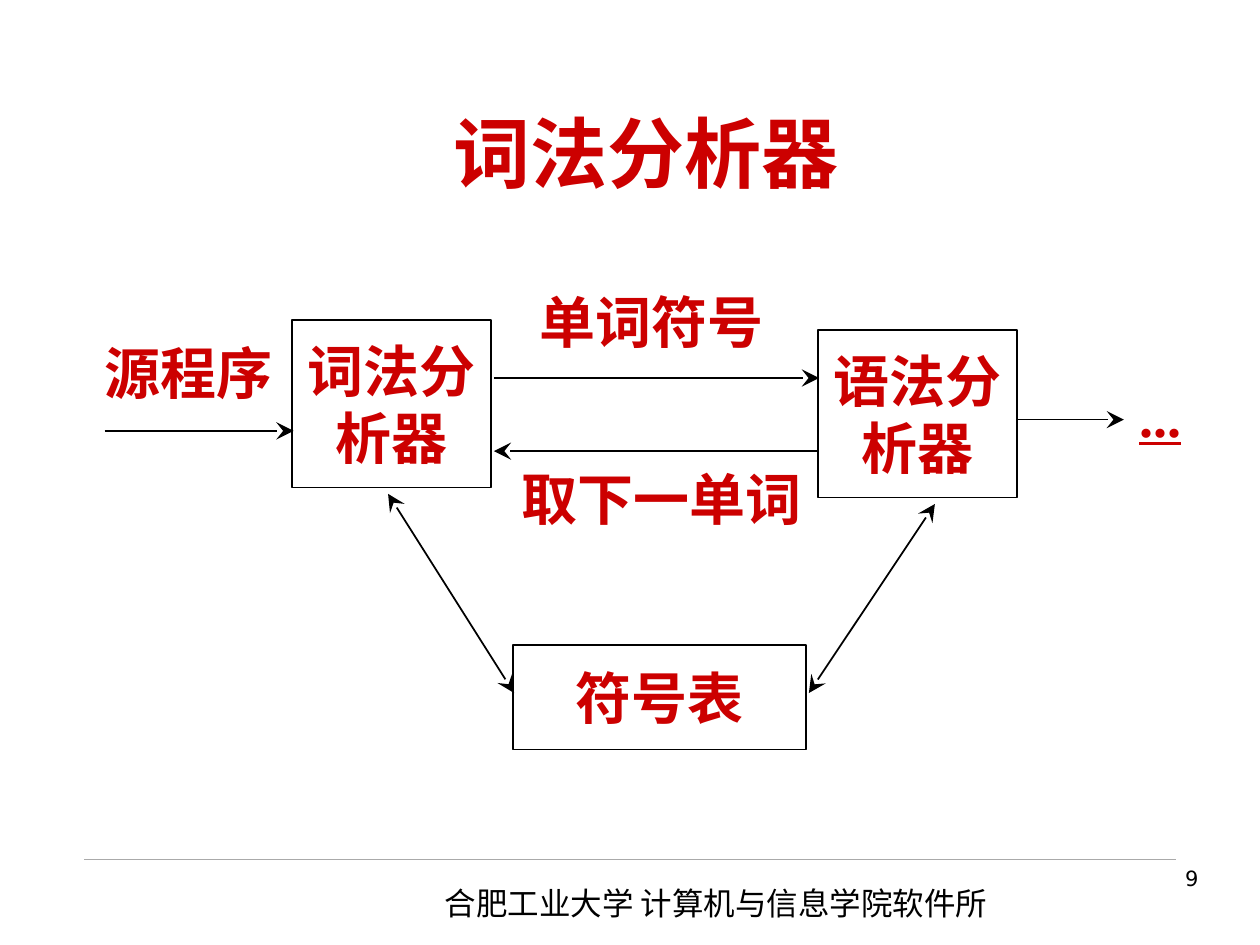
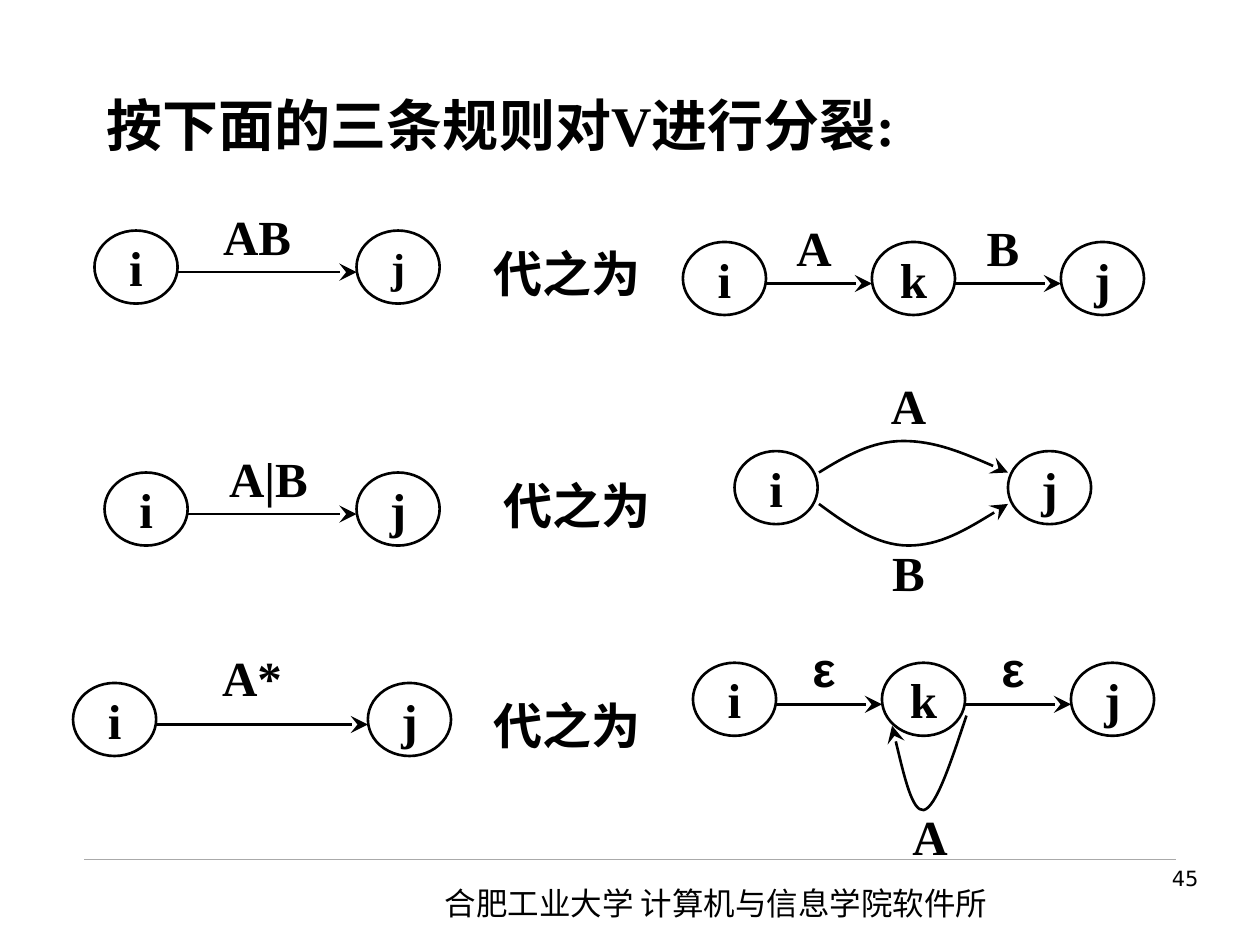
"""Build two compiler slides: the lexical analyser and the rules for splitting V."""
from itertools import pairwise

from lxml import etree
from pptx import Presentation
from pptx.dml.color import RGBColor
from pptx.enum.shapes import MSO_CONNECTOR, MSO_SHAPE
from pptx.enum.text import MSO_ANCHOR, PP_ALIGN
from pptx.oxml.ns import qn
from pptx.util import Inches, Pt

RED, BLACK, GRAY = "CC0000", "000000", "AAAAAA"
SERIF, SANS, CJK, DIGITS = "Times New Roman", "Arial", "Noto Sans CJK SC", "DejaVu Sans"

FOOTER = "合肥工业大学 计算机与信息学院软件所"
FOOTER_RULE = (0.67, 6.82, 9.33, 6.82)
FOOTER_BOX = (3.43, 6.97, 4.72, 0.4)
NUMBER_BOX = (7.44, 6.82, 2.17, 0.52)

ANALYSER_TITLE = "词法分析器"
STAGES = [
    (["词法分", "析器"], (2.32, 2.54, 1.58, 1.33)),
    (["语法分", "析器"], (6.49, 2.62, 1.58, 1.33)),
    (["符号表"], (4.07, 5.12, 2.33, 0.83)),
]
FLOW_LABELS = [
    ("源程序", (0.6, 2.58, 1.8, 0.75)),
    ("单词符号", (4.07, 2.17, 2.2, 0.75)),
    ("取下一单词", (3.95, 3.58, 2.6, 0.75)),
]
CONTINUATION = ("...", (8.75, 2.92, 0.92, 0.75))
FLOWS = [
    (0.83, 3.42, 2.33, 3.42),
    (3.92, 3, 6.5, 3),
    (6.5, 3.58, 3.92, 3.58),
    (8.08, 3.33, 8.92, 3.33),
]
TABLE_ACCESSES = [(3.08, 3.92, 4.08, 5.5), (7.42, 4, 6.42, 5.5)]

RULES_TITLE = "按下面的三条规则对V进行分裂:"
REPLACED_BY = "代之为"
REPLACED_BY_PLACES = [(3.7, 1.83), (3.78, 3.67), (3.7, 5.42)]
REPLACED_BY_SIZE = (1.6, 0.67)
NODE_WIDTH, NODE_HEIGHT, EDGE_DROP = 0.66, 0.58, 0.33
LABEL_WIDTH = 0.92
AUTOMATA = [
    {"top": 1.83, "nodes": [("i", 0.75, 28), ("j", 2.83, 24)], "edges": True,
     "labels": [("AB", 1.58, 1.58, SERIF)]},
    {"top": 1.92, "nodes": [("i", 5.42, 28), ("k", 6.92, 28), ("j", 8.42, 28)], "edges": True,
     "labels": [("A", 6, 1.67, SERIF), ("B", 7.5, 1.67, SERIF)]},
    {"top": 3.75, "nodes": [("i", 0.83, 28), ("j", 2.83, 28)], "edges": True,
     "labels": [("A|B", 1.67, 3.5, SERIF)]},
    {"top": 3.58, "nodes": [("i", 5.83, 28), ("j", 8, 28)], "edges": False,
     "labels": [("A", 6.75, 2.92, SERIF), ("B", 6.75, 4.25, SERIF)]},
    {"top": 5.42, "nodes": [("i", 0.58, 28), ("j", 2.92, 28)], "edges": True,
     "labels": [("A*", 1.54, 5.08, SERIF)]},
    {"top": 5.26, "nodes": [("i", 5.5, 28), ("k", 7, 28), ("j", 8.5, 28)], "edges": True,
     "labels": [("ε", 6.08, 5.01, SANS), ("ε", 7.58, 5.01, SANS), ("A", 6.92, 6.34, SERIF)]},
]
CURVES = [
    [(6.5, 3.75), (6.71, 3.62), (6.92, 3.5), (7.17, 3.5), (7.42, 3.5), (7.71, 3.62), (8, 3.75)],
    [(6.5, 4), (6.73, 4.17), (6.96, 4.33), (7.21, 4.33), (7.46, 4.33), (7.73, 4.17), (8, 4)],
    [(7.67, 5.68), (7.55, 6.04), (7.43, 6.41), (7.33, 6.43), (7.24, 6.44), (7.16, 6.1), (7.08, 5.76)],
]

RED_TEXT = {"size": Pt(32), "name": SERIF, "bold": True, "color": RED}
BLACK_TEXT = RED_TEXT | {"size": Pt(28), "color": BLACK}
ARROWHEAD = {"type": "stealth", "w": "lg", "len": "lg"}


def rgb(color):
    return RGBColor.from_string(color)


def write(shape, lines, style, align=PP_ALIGN.CENTER, anchor=MSO_ANCHOR.MIDDLE, wrap=False):
    frame = shape.text_frame
    frame.word_wrap = wrap
    frame.vertical_anchor = anchor
    for index, line in enumerate(lines):
        paragraph = frame.add_paragraph() if index else frame.paragraphs[0]
        paragraph.alignment = align
        run = paragraph.add_run()
        run.text = line
        for attribute, value in style.items():
            if attribute == "color":
                run.font.color.rgb = rgb(value)
            else:
                setattr(run.font, attribute, value)
        east_asian = etree.SubElement(run.font._element, qn("a:ea"))
        east_asian.set("typeface", CJK)


def add_text(slide, text, box, style, **layout):
    write(slide.shapes.add_textbox(*map(Inches, box)), [text], style, **layout)


def add_outlined(slide, preset, lines, box, style, width):
    shape = slide.shapes.add_shape(preset, *map(Inches, box))
    shape.shadow.inherit = False
    shape.fill.background()
    shape.line.color.rgb = rgb(BLACK)
    shape.line.width = Pt(width)
    write(shape, lines, style)


def draw_line(shape, width, color=BLACK, ends=("tailEnd",)):
    shape.line.color.rgb = rgb(color)
    shape.line.width = Pt(width)
    outline = shape.element.spPr.find(qn("a:ln"))
    for end in ends:
        etree.SubElement(outline, qn(f"a:{end}"), ARROWHEAD)


def add_line(slide, ends_at, width, **look):
    line = slide.shapes.add_connector(MSO_CONNECTOR.STRAIGHT, *map(Inches, ends_at))
    draw_line(line, width, **look)
    etree.SubElement(line.element.spPr, qn("a:effectLst"))


def add_curve(slide, points):
    start, *controls = [tuple(map(Inches, point)) for point in points]
    builder = slide.shapes.build_freeform(*start)
    builder.add_line_segments(controls, close=False)
    curve = builder.convert_to_shape()
    curve.shadow.inherit = False
    curve.fill.background()
    draw_line(curve, 1.5)
    segments = list(curve.element.iter(qn("a:lnTo")))
    for first in range(0, len(segments), 3):
        bezier = etree.Element(qn("a:cubicBezTo"))
        segments[first].addprevious(bezier)
        for segment in segments[first:first + 3]:
            bezier.append(segment[0])
            segment.getparent().remove(segment)


def add_framed_slide(deck, number):
    slide = deck.slides.add_slide(deck.slide_layouts[6])
    add_line(slide, FOOTER_RULE, 0.25, color=GRAY, ends=())
    plain = {"size": Pt(18), "name": CJK, "color": BLACK}
    add_text(slide, FOOTER, FOOTER_BOX, plain,
             align=PP_ALIGN.LEFT, anchor=MSO_ANCHOR.TOP, wrap=True)
    add_text(slide, number, NUMBER_BOX, plain | {"size": Pt(12), "name": DIGITS},
             align=PP_ALIGN.RIGHT, anchor=MSO_ANCHOR.TOP, wrap=True)
    return slide


def build_analyser(deck):
    slide = add_framed_slide(deck, "9")
    add_text(slide, ANALYSER_TITLE, (0.75, 0.58, 8.75, 1.25),
             RED_TEXT | {"size": Pt(44), "name": CJK}, wrap=True)
    for lines, box in STAGES:
        add_outlined(slide, MSO_SHAPE.RECTANGLE, lines, box, RED_TEXT, 1)
    for label, box in FLOW_LABELS:
        add_text(slide, label, box, RED_TEXT)
    add_text(slide, *CONTINUATION, RED_TEXT | {"underline": True})
    for flow in FLOWS:
        add_line(slide, flow, 1)
    for access in TABLE_ACCESSES:
        add_line(slide, access, 1, ends=("headEnd", "tailEnd"))


def build_rules(deck):
    slide = add_framed_slide(deck, "45")
    add_text(slide, RULES_TITLE, (0.75, 0.67, 8.5, 0.75), BLACK_TEXT | {"size": Pt(32)},
             align=PP_ALIGN.JUSTIFY, anchor=MSO_ANCHOR.TOP, wrap=True)
    for place in REPLACED_BY_PLACES:
        add_text(slide, REPLACED_BY, place + REPLACED_BY_SIZE, BLACK_TEXT)
    for automaton in AUTOMATA:
        top, nodes = automaton["top"], automaton["nodes"]
        for state, left, size in nodes:
            add_outlined(slide, MSO_SHAPE.OVAL, [state], (left, top, NODE_WIDTH, NODE_HEIGHT),
                         BLACK_TEXT | {"size": Pt(size)}, 1.5)
        if automaton["edges"]:
            level = top + EDGE_DROP
            for (_, source, _), (_, target, _) in pairwise(nodes):
                add_line(slide, (source + NODE_WIDTH, level, target, level), 1.5)
        for label, left, label_top, font in automaton["labels"]:
            add_text(slide, label, (left, label_top, LABEL_WIDTH, NODE_HEIGHT),
                     BLACK_TEXT | {"name": font})
    for points in CURVES:
        add_curve(slide, points)


def main():
    deck = Presentation()
    deck.slide_width, deck.slide_height = Inches(10), Inches(7.5)
    build_analyser(deck)
    build_rules(deck)
    deck.save("out.pptx")


if __name__ == "__main__":
    main()
